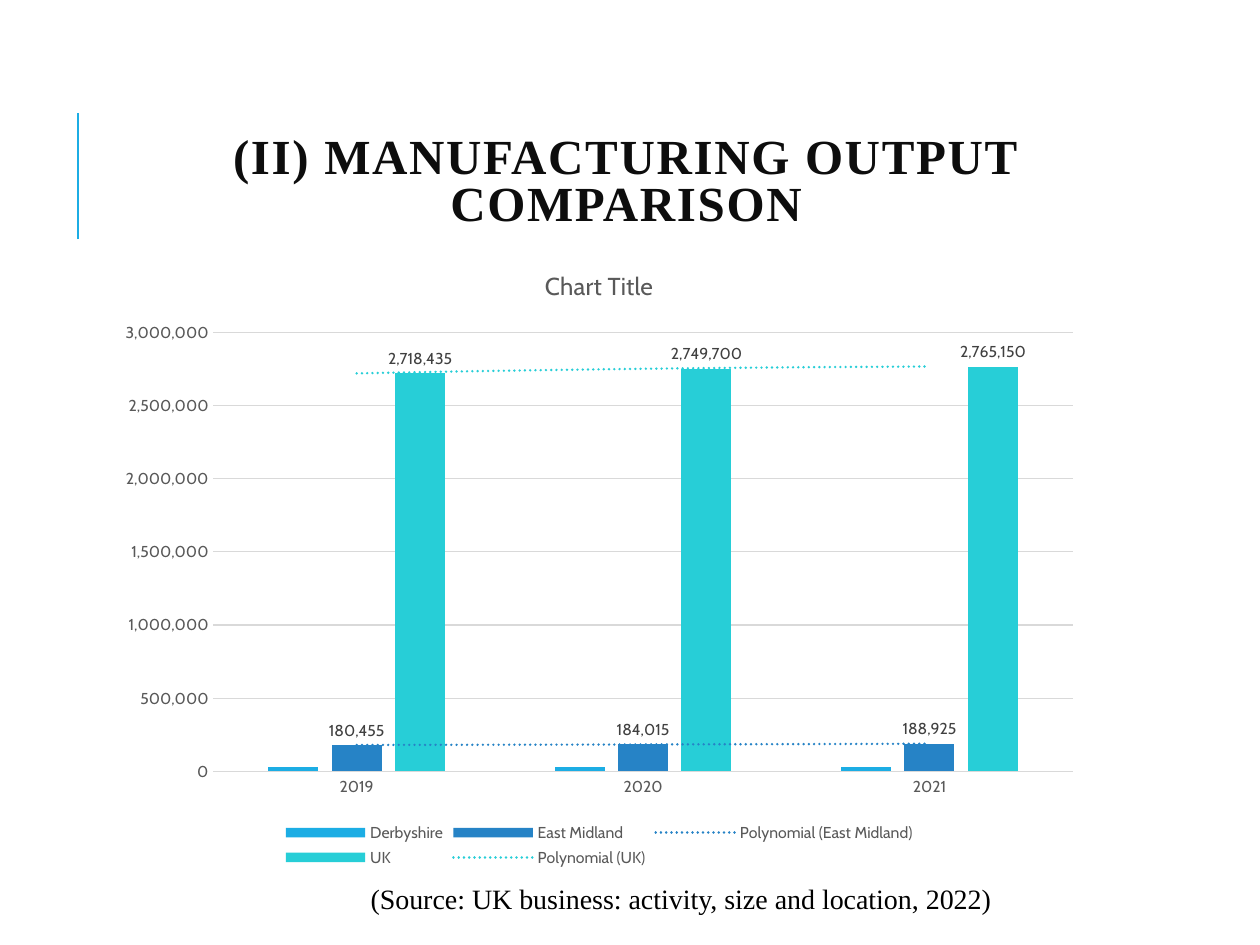
import pptx
import pptx.chart.data
import pptx.dml.color
import pptx.enum.chart
import pptx.enum.shapes
import pptx.enum.text
import pptx.oxml
import pptx.oxml.ns
import pptx.util

RGBColor = pptx.dml.color.RGBColor
BLACK = RGBColor(0x00, 0x00, 0x00)
INK = RGBColor(0x0D, 0x0D, 0x0D)
LABEL_GREY = RGBColor(0x40, 0x40, 0x40)
AXIS_GREY = RGBColor(0x59, 0x59, 0x59)
GRID_GREY = RGBColor(0xD9, 0xD9, 0xD9)
SKY = RGBColor(0x1C, 0xAD, 0xE4)
BLUE = RGBColor(0x26, 0x83, 0xC6)
TURQUOISE = RGBColor(0x27, 0xCE, 0xD7)

YEARS = ["2019", "2020", "2021"]
# region, output per year, colour, has labels and a trend line
REGIONS = [
    ("Derbyshire", (30000, 30000, 30000), SKY, False),
    ("East Midland", (180455, 184015, 188925), BLUE, True),
    ("UK", (2718435, 2749700, 2765150), TURQUOISE, True),
]


class SlideBuilder:
    """Holds the style and the slide; lengths are shares of the slide's size."""

    text_font = "Times New Roman"
    chart_font = "Cabin"

    def __init__(self, deck):
        self.width, self.height = deck.slide_width, deck.slide_height
        self.slide = deck.slides.add_slide(deck.slide_layouts[6])

    def place(self, left, top, width, height):
        return (round(left * self.width), round(top * self.height),
                round(width * self.width), round(height * self.height))

    def style(self, font, name, size, color, bold=False):
        font.name, font.size, font.bold = name, pptx.util.Pt(size), bold
        font.color.rgb = color

    def rule(self, left, top, bottom, color):
        x, y, _, drop = self.place(left, top, 0, bottom - top)
        line = self.slide.shapes.add_connector(
            pptx.enum.shapes.MSO_CONNECTOR.STRAIGHT, x, y + drop, x, y)
        line.line.color.rgb = color
        line.line.width = pptx.util.Pt(1.5)
        line._element.spPr.append(pptx.oxml.parse_xml(
            f"<a:effectLst {pptx.oxml.ns.nsdecls('a')}/>"))

    def text(self, words, area, size, color, line_spacing, bold=False,
             letter_spacing=0, space_after=0):
        box = self.slide.shapes.add_textbox(*self.place(*area))
        frame = box.text_frame
        frame.word_wrap = True
        frame.vertical_anchor = pptx.enum.text.MSO_ANCHOR.MIDDLE
        para = frame.paragraphs[0]
        para.text = words
        para.alignment = pptx.enum.text.PP_ALIGN.CENTER
        para.line_spacing = line_spacing
        para.space_after = pptx.util.Pt(space_after)
        self.style(para.font, self.text_font, size, color, bold)
        if letter_spacing:
            properties = para._p.pPr.find(pptx.oxml.ns.qn("a:defRPr"))
            properties.set("spc", str(letter_spacing * 100))

    def column_chart(self, title, years, regions, area):
        data = pptx.chart.data.CategoryChartData(number_format="#,##0")
        data.categories = years
        for name, values, _, _ in regions:
            data.add_series(name, values)
        chart = self.slide.shapes.add_chart(
            pptx.enum.chart.XL_CHART_TYPE.COLUMN_CLUSTERED,
            *self.place(*area), data).chart
        self.style(chart.font, self.chart_font, 10, BLACK)

        chart.has_title = True
        heading = chart.chart_title.text_frame
        heading.text = title
        self.style(heading.paragraphs[0].font, self.chart_font, 14, AXIS_GREY)
        chart.chart_title.include_in_layout = False

        chart.has_legend = True
        chart.legend.position = pptx.enum.chart.XL_LEGEND_POSITION.BOTTOM
        chart.legend.include_in_layout = False
        self.style(chart.legend.font, self.chart_font, 9, AXIS_GREY)

        self.axes(chart)
        plot = chart.plots[0]
        plot.gap_width, plot.overlap = 219, -27
        plot.vary_by_categories = False
        for series, (_, _, color, detailed) in zip(plot.series, regions):
            series.format.fill.solid()
            series.format.fill.fore_color.rgb = color
            series.invert_if_negative = False
            if detailed:
                self.value_labels(series)
                self.trend_line(series, color)

    def axes(self, chart):
        for axis in (chart.category_axis, chart.value_axis):
            axis.major_tick_mark = pptx.enum.chart.XL_TICK_MARK.NONE
            axis.minor_tick_mark = pptx.enum.chart.XL_TICK_MARK.NONE
            self.style(axis.tick_labels.font, self.chart_font, 9, AXIS_GREY)
        chart.value_axis.format.line.fill.background()
        chart.value_axis.tick_labels.number_format = "#,##0"
        chart.value_axis.tick_labels.number_format_is_linked = False
        for part in (chart.category_axis, chart.value_axis.major_gridlines):
            part.format.line.color.rgb = GRID_GREY
            part.format.line.width = pptx.util.Pt(0.75)

    def value_labels(self, series):
        labels = series.data_labels
        labels.show_value = True
        labels.position = pptx.enum.chart.XL_LABEL_POSITION.OUTSIDE_END
        self.style(labels.font, self.chart_font, 9, LABEL_GREY)

    def trend_line(self, series, color):
        """Add a dotted second-order polynomial, ahead of the categories."""
        trend = pptx.oxml.parse_xml(
            f"<c:trendline {pptx.oxml.ns.nsdecls('c', 'a')}>"
            f'<c:spPr><a:ln w="{pptx.util.Pt(1.5)}" cap="rnd"><a:solidFill>'
            f'<a:srgbClr val="{color}"/></a:solidFill>'
            '<a:prstDash val="sysDot"/></a:ln></c:spPr>'
            '<c:trendlineType val="poly"/><c:order val="2"/>'
            '<c:dispRSqr val="0"/><c:dispEq val="0"/></c:trendline>')
        series._element.find(pptx.oxml.ns.qn("c:cat")).addprevious(trend)


def main():
    deck = pptx.Presentation()
    deck.slide_width = pptx.util.Inches(10)
    deck.slide_height = pptx.util.Inches(7.5)

    page = SlideBuilder(deck)
    page.rule(0.062, 0.12, 0.253, SKY)
    page.text("(II) MANUFACTURING OUTPUT COMPARISON",
              (0.084, 0.085, 0.826, 0.219), 28, INK, 0.8,
              bold=True, letter_spacing=1)
    page.column_chart("Chart Title", YEARS, REGIONS,
                      (0.084, 0.26, 0.783, 0.663))
    page.text("(Source: UK business: activity, size and location, 2022)",
              (0.25, 0.921, 0.581, 0.055), 16, BLACK, 1.15, space_after=10)
    deck.save("out.pptx")


if __name__ == "__main__":
    main()
